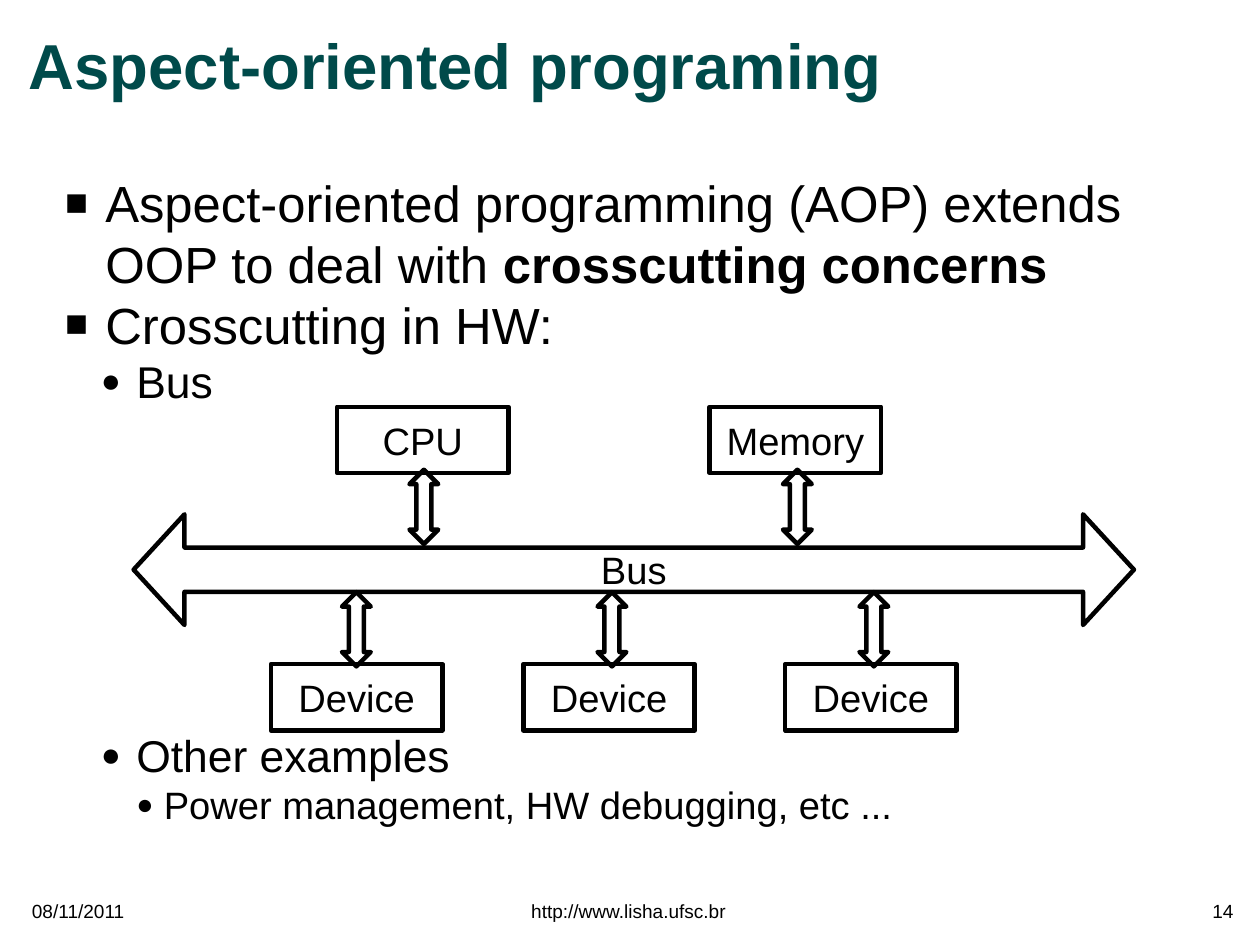
from lxml import etree
from pptx import Presentation
from pptx import util as u
from pptx.dml.color import RGBColor
from pptx.enum import shapes, text
from pptx.oxml.ns import qn

INK = "000000"
TEAL = "004A4A"
ALIGN = text.PP_ALIGN
SHAPE = shapes.MSO_SHAPE

deck = Presentation()
deck.slide_width, deck.slide_height = u.Cm(28), u.Cm(21)
page = deck.slides.add_slide(deck.slide_layouts[6])


def add_span(para, words, size, color=INK, bold=False):
    span = para.add_run()
    span.text = words
    look = {"name": "Arial", "size": u.Pt(size), "bold": bold}
    for key, value in look.items():
        setattr(span.font, key, value)
    span.font.color.rgb = RGBColor.from_string(color)


def set_frame(frame, inset=0, wrap=True, anchor=text.MSO_ANCHOR.TOP):
    look = {"word_wrap": wrap, "vertical_anchor": anchor}
    for side in ("left", "right", "top", "bottom"):
        look[f"margin_{side}"] = u.Cm(inset)
    for key, value in look.items():
        setattr(frame, key, value)


footers = [
    (0.71, 7.42, "08/11/2011", ALIGN.LEFT),
    (19.99, 7.42, "14", ALIGN.RIGHT),
    (6.35, 15.24, "http://www.lisha.ufsc.br", ALIGN.CENTER),
]
for left, width, words, align in footers:
    box = page.shapes.add_textbox(u.Cm(left), u.Cm(20), u.Cm(width), u.Cm(0.53))
    set_frame(box.text_frame)
    para = box.text_frame.paragraphs[0]
    para.alignment = align
    add_span(para, words, 12)

title = page.shapes.add_textbox(u.Cm(0.64), u.Cm(0.64), u.Cm(23.5), u.Cm(1.9))
set_frame(title.text_frame, anchor=text.MSO_ANCHOR.MIDDLE)
para = title.text_frame.paragraphs[0]
para.line_spacing = 0.8
add_span(para, "Aspect-oriented programing", 40, TEAL, True)

levels = [("■", 1.7, 0.89, 32), ("●", 2.39, 0.79, 28), ("●", 3, 0.61, 24)]
diagram_gap = 202
points = [
    (0, 0, [("Aspect-oriented programming (AOP) extends OOP to deal with ", False),
            ("crosscutting concerns", True)]),
    (0, 0, [("Crosscutting in HW:", False)]),
    (1, 0, [("Bus", False)]),
    (1, diagram_gap, [("Other examples", False)]),
    (2, 0, [("Power management, HW debugging, etc ...", False)]),
]
body = page.shapes.add_textbox(u.Cm(0.64), u.Cm(3.81), u.Cm(26.67), u.Cm(15.88))
set_frame(body.text_frame)
for index, (level, gap, spans) in enumerate(points):
    para = body.text_frame.add_paragraph() if index else body.text_frame.paragraphs[0]
    mark, margin, hang, size = levels[level]
    para.level = level
    props = para._p.get_or_add_pPr()
    props.set("marL", str(u.Cm(margin)))
    props.set("indent", str(-u.Cm(hang)))
    tint = etree.SubElement(props, qn("a:buClr"))
    etree.SubElement(tint, qn("a:srgbClr"), val=INK)
    etree.SubElement(props, qn("a:buSzPct"), val="75000")
    etree.SubElement(props, qn("a:buFont"), typeface="Arial")
    etree.SubElement(props, qn("a:buChar"), char=mark)
    if gap:
        para.space_before = u.Pt(gap)
    for words, bold in spans:
        add_span(para, words, size, bold=bold)

cpu_top, device_top = 9.04, 14.76
upper_link, lower_link = 10.44, 13.16
nodes = [
    ("CPU", 7.49, cpu_top, 9.1, upper_link),
    ("Memory", 15.77, cpu_top, 17.4, upper_link),
    ("Device", 6.02, device_top, 7.6, lower_link),
    ("Device", 11.63, device_top, 13.28, lower_link),
    ("Device", 17.45, device_top, 19.1, lower_link),
]
parts = [(SHAPE.LEFT_RIGHT_ARROW, 2.97, 11.43, 22.23, 2.46, "Bus", (0.4, 0.46))]
for label, left, top, link_left, link_top in nodes:
    parts.append((SHAPE.RECTANGLE, left, top, 3.81, 1.47, label, ()))
    parts.append((SHAPE.UP_DOWN_ARROW, link_left, link_top, 0.64, 1.65, "", (0.5, 0.52)))

for kind, left, top, width, height, label, adjusts in parts:
    part = page.shapes.add_shape(kind, u.Cm(left), u.Cm(top), u.Cm(width), u.Cm(height))
    for index, value in enumerate(adjusts):
        part.adjustments[index] = value
    part.shadow.inherit = False
    part.fill.background()
    part.line.color.rgb = RGBColor.from_string(INK)
    part.line.width = u.Pt(2.83)
    if label:
        set_frame(part.text_frame, 0.05, False, text.MSO_ANCHOR.MIDDLE)
        para = part.text_frame.paragraphs[0]
        para.alignment = ALIGN.CENTER
        add_span(para, label, 24)

deck.save("out.pptx")
